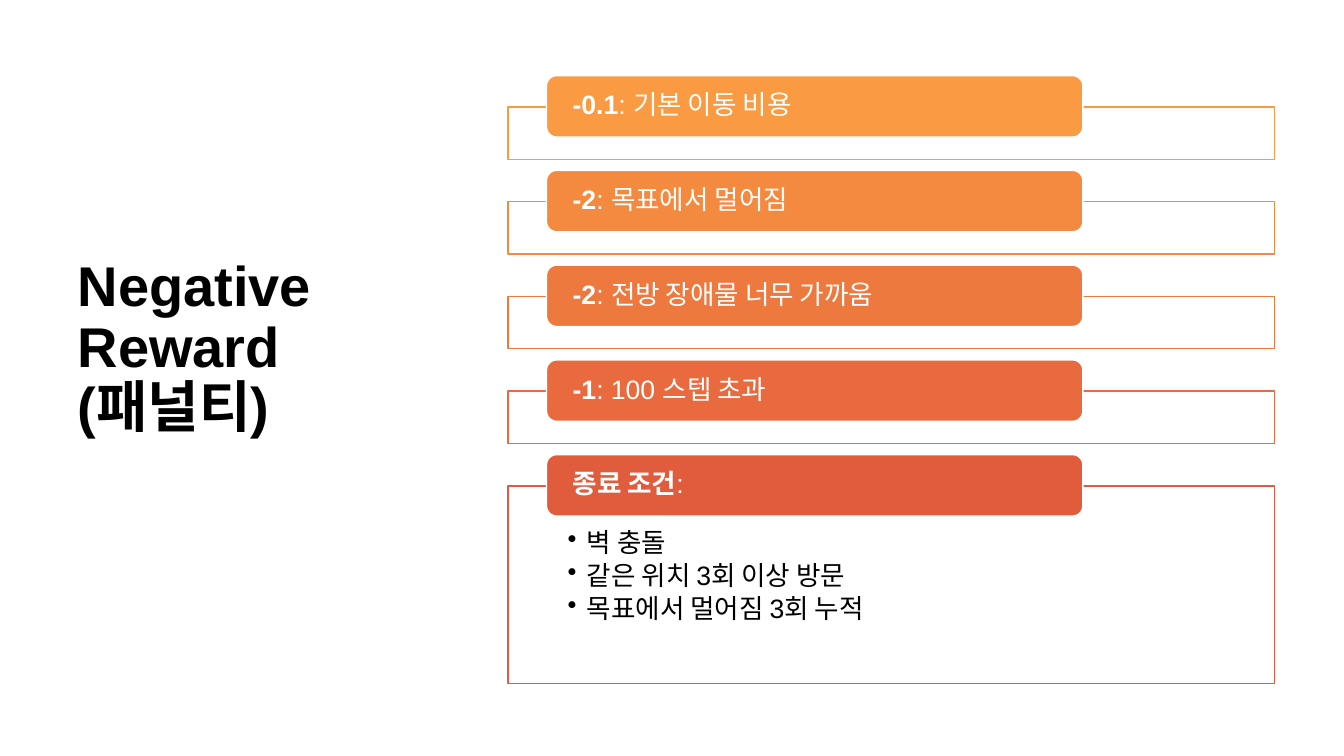
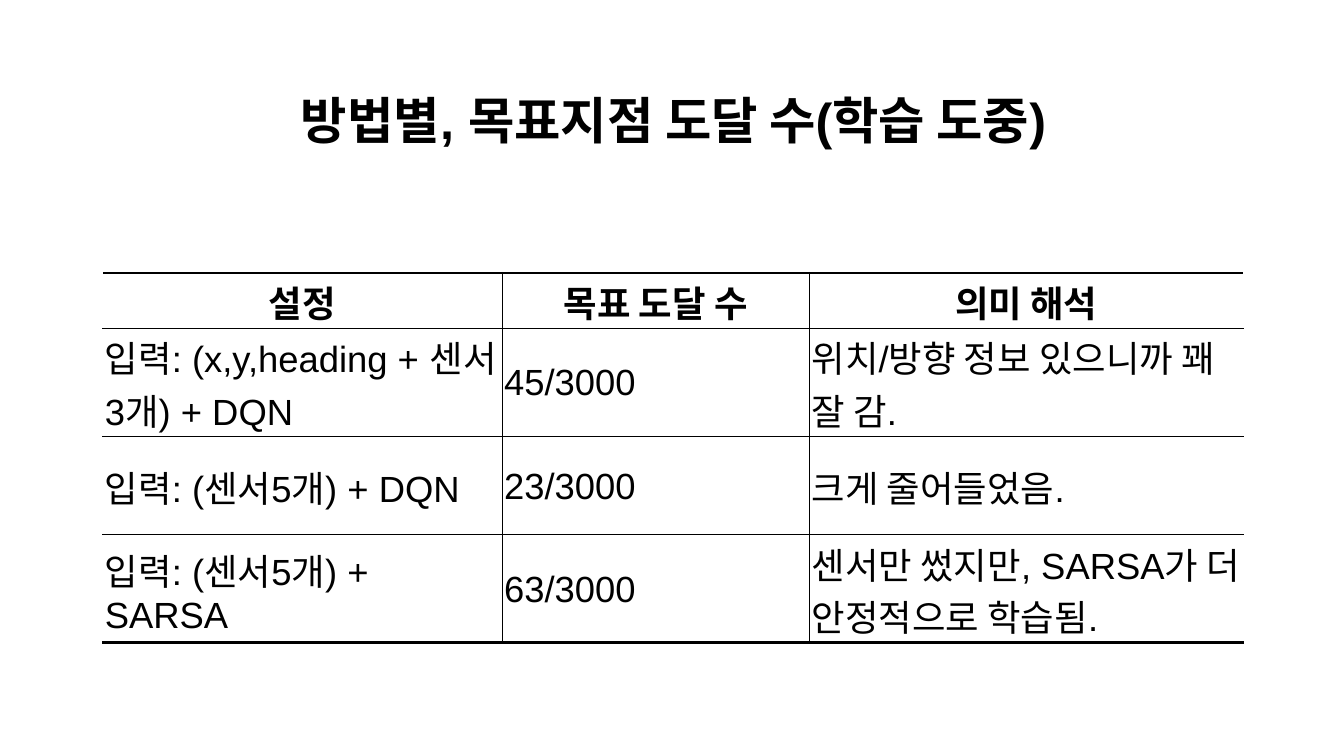
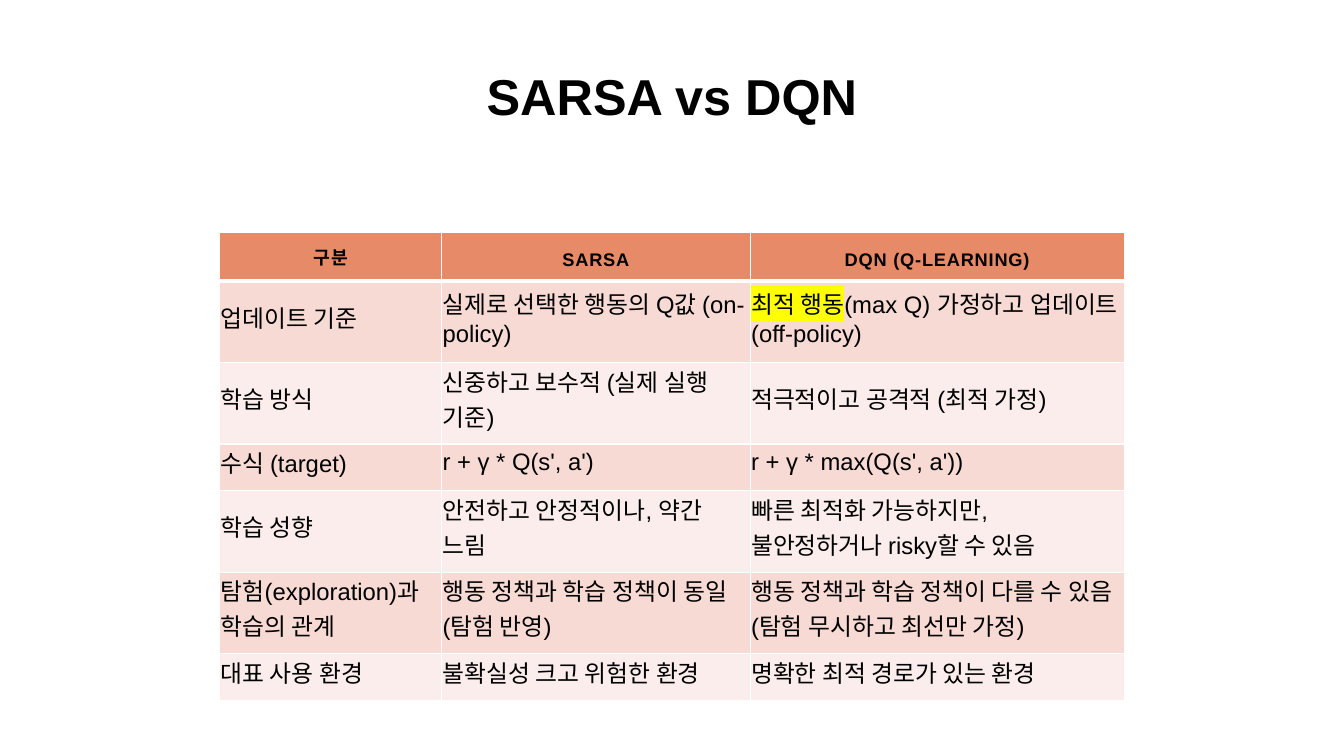
"""Build three slides on rewards and on the comparison of SARSA and DQN."""
from dataclasses import dataclass

from lxml.etree import SubElement
from pptx import Presentation
from pptx.dml.color import RGBColor
from pptx.enum.shapes import MSO_SHAPE as Shape
from pptx.enum.text import MSO_ANCHOR as Anchor, MSO_AUTO_SIZE as AutoSize, PP_ALIGN as Align
from pptx.oxml.ns import qn
from pptx.util import Inches, Pt


@dataclass(frozen=True)
class Theme:
    font: str = "Arial"
    black: str = "000000"
    white: str = "FFFFFF"
    steps: tuple = ("FA9A42", "F48940", "EE793F", "E86A3E", "E15C3D")
    header: str = "E78A67"
    bands: tuple = ("F6DAD3", "FAEDEB")
    marker: str = "FFFF00"
    side_title: int = 40
    title: int = 36
    result: int = 26
    penalty: int = 19
    compare: int = 17
    compare_head: int = 13


theme = Theme()
color = RGBColor.from_string


def style(para, size, ink=theme.black, bold=False, align=Align.LEFT, spacing=None):
    para.alignment = align
    para.line_spacing = spacing
    para.font.name = theme.font
    para.font.size = Pt(size)
    para.font.bold = bold
    para.font.color.rgb = color(ink)


def add_grid(page, left, top, widths, heights, rows, sizes, fills, margins, border):
    table = page.shapes.add_table(
        len(rows), len(widths), Inches(left), Inches(top),
        Inches(sum(widths)), Inches(sum(heights))).table
    table.first_row = table.horz_banding = False
    for column, width in zip(table.columns, widths):
        column.width = Inches(width)
    for r, (row, height) in enumerate(zip(rows, heights)):
        table.rows[r].height = Inches(height)
        head = r == 0
        for c, text in enumerate(row):
            cell = table.cell(r, c)
            cell.text = text
            cell.vertical_anchor = Anchor.MIDDLE
            cell.margin_left, cell.margin_top, cell.margin_right, cell.margin_bottom = map(Inches, margins)
            style(cell.text_frame.paragraphs[0], sizes[min(r, 1)], bold=head,
                  align=Align.CENTER if head else Align.LEFT)
            for side, width in border(r, c).items():
                line = SubElement(cell._tc.get_or_add_tcPr(), qn(f"a:ln{side}"), w=str(Pt(width)))
                ink = theme.black if fills[0] == theme.white else theme.white
                SubElement(SubElement(line, qn("a:solidFill")), qn("a:srgbClr"), val=ink)
            cell.fill.solid()
            cell.fill.fore_color.rgb = color(fills[r])
    return table


deck = Presentation()
deck.slide_width, deck.slide_height = Inches(13.33), Inches(7.5)

titles = [
    ("Negative Reward (패널티)", (0.67, 0.6, 3.82, 5.73), theme.side_title, Align.LEFT, Anchor.MIDDLE),
    ("방법별, 목표지점 도달 수(학습 도중)", (1.67, 0.6, 10.02, 1.24), theme.title, Align.CENTER, Anchor.MIDDLE),
    ("SARSA vs DQN", (1.89, 0.55, 9.55, 0.75), theme.title, Align.CENTER, Anchor.BOTTOM),
]
pages = []
for text, place, size, align, anchor in titles:
    page = deck.slides.add_slide(deck.slide_layouts[5])
    title = page.shapes.title
    title.left, title.top, title.width, title.height = map(Inches, place)
    frame = title.text_frame
    frame.text = text
    frame.auto_size = AutoSize.NONE
    frame.vertical_anchor = anchor
    style(frame.paragraphs[0], size, bold=True, align=align, spacing=0.9)
    pages.append(page)
penalty_page, result_page, compare_page = pages

penalties = [
    ("-0.1", ": 기본 이동 비용"),
    ("-2", ": 목표에서 멀어짐"),
    ("-2", ": 전방 장애물 너무 가까움"),
    ("-1", ": 100 스텝 초과"),
    ("종료 조건", ":"),
]
endings = ["벽 충돌", "같은 위치 3회 이상 방문", "목표에서 멀어짐 3회 누적"]
for index, ((lead, rest), tint) in enumerate(zip(penalties, theme.steps)):
    top = 0.75 + 0.94 * index
    last = index == len(penalties) - 1
    panel = penalty_page.shapes.add_shape(
        Shape.RECTANGLE, Inches(5.04), Inches(top + 0.31), Inches(7.6), Inches(1.96 if last else 0.52))
    bar = penalty_page.shapes.add_shape(
        Shape.ROUNDED_RECTANGLE, Inches(5.42), Inches(top), Inches(5.32), Inches(0.61))
    for box, fill, edge in ((panel, theme.white, tint), (bar, tint, theme.white)):
        box.shadow.inherit = False
        box.fill.solid()
        box.fill.fore_color.rgb = color(fill)
        box.line.color.rgb = color(edge)
        box.line.width = Pt(1)
    frame = bar.text_frame
    frame.vertical_anchor = Anchor.MIDDLE
    frame.margin_left = frame.margin_right = Inches(0.23)
    frame.margin_top = frame.margin_bottom = 0
    para = frame.paragraphs[0]
    for text in (lead, rest):
        span = para.add_run()
        span.text = text
    para.runs[0].font.bold = True
    style(para, theme.penalty, theme.white, spacing=0.9)

frame = panel.text_frame
frame.vertical_anchor = Anchor.TOP
frame.margin_left = frame.margin_right = Inches(0.59)
frame.margin_top, frame.margin_bottom = Inches(0.43), Inches(0.15)
frame.text = "\n".join(endings)
for para in frame.paragraphs:
    props = para._p.get_or_add_pPr()
    props.set("marL", str(Inches(0.19)))
    props.set("indent", str(-Inches(0.19)))
    SubElement(props, qn("a:buChar"), char="•")
    para.space_after = Pt(3)
    style(para, theme.penalty, spacing=0.9)

results = [
    ("설정", "목표 도달 수", "의미 해석"),
    ("입력: (x,y,heading + 센서3개) + DQN", "45/3000", "위치/방향 정보 있으니까 꽤 잘 감."),
    ("입력: (센서5개) + DQN", "23/3000", "크게 줄어들었음."),
    ("입력: (센서5개) + SARSA", "63/3000", "센서만 썼지만, SARSA가 더 안정적으로 학습됨."),
]


def result_border(r, c):
    sides = {"L": 1, "R": 1, "T": 2 if r == 0 else 1, "B": 2 if r == len(results) - 1 else 1}
    outer = {0: "L", 2: "R"}.get(c)
    return {side: width for side, width in sides.items() if side != outer}


add_grid(result_page, 1.02, 2.71, [3.96, 3.05, 4.3], [0.55] + [0.98] * 3, results,
         (theme.result, theme.result), [theme.white] * 4, (0.02, 0.02, 0.02, 0), result_border)

comparison = [
    ("구분", "SARSA", "DQN (Q-LEARNING)"),
    ("업데이트 기준", "실제로 선택한 행동의 Q값 (on-policy)", "최적 행동"),
    ("학습 방식", "신중하고 보수적 (실제 실행 기준)", "적극적이고 공격적 (최적 가정)"),
    ("수식 (target)", "r + γ * Q(s', a')", "r + γ * max(Q(s', a'))"),
    ("학습 성향", "안전하고 안정적이나, 약간 느림", "빠른 최적화 가능하지만, 불안정하거나 risky할 수 있음"),
    ("탐험(exploration)과 학습의 관계", "행동 정책과 학습 정책이 동일 (탐험 반영)",
     "행동 정책과 학습 정책이 다를 수 있음 (탐험 무시하고 최선만 가정)"),
    ("대표 사용 환경", "불확실성 크고 위험한 환경", "명확한 최적 경로가 있는 환경"),
]
table = add_grid(
    compare_page, 2.18, 2.31, [2.2, 3.06, 3.71], [0.47, 0.73, 0.73, 0.44, 0.73, 0.73, 0.44], comparison,
    (theme.compare_head, theme.compare), [theme.header, *theme.bands * 3], (0.01, 0.01, 0.01, 0.11),
    lambda r, c: {"L": 1, "R": 1, "T": 3 if r == 1 else 1, "B": 3 if r == 0 else 1})
for cell in table.rows[0].cells:
    cell.vertical_anchor = Anchor.BOTTOM
    cell.margin_top = Inches(0.11)
    cell.text_frame.paragraphs[0].runs[0]._r.get_or_add_rPr().set("spc", "60")
para = table.cell(1, 2).text_frame.paragraphs[0]
marked = SubElement(para.runs[0]._r.get_or_add_rPr(), qn("a:highlight"))
SubElement(marked, qn("a:srgbClr"), val=theme.marker)
span = para.add_run()
span.text = "(max Q) 가정하고 업데이트 (off-policy)"

deck.save("out.pptx")
